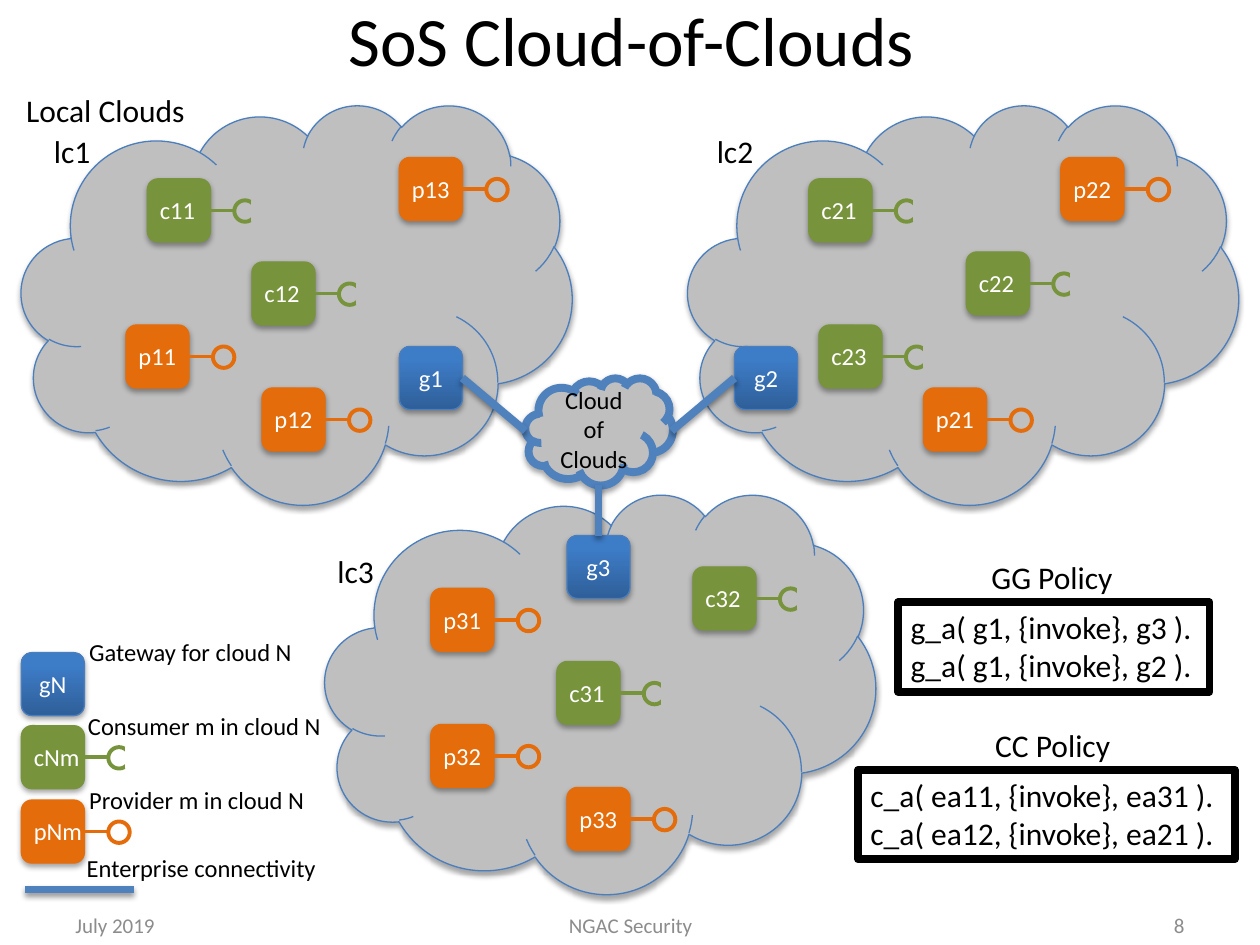
from lxml import etree
from pptx import Presentation
from pptx.dml.color import RGBColor
from pptx.enum.shapes import MSO_CONNECTOR, MSO_SHAPE
from pptx.enum.text import MSO_ANCHOR, PP_ALIGN
from pptx.oxml.ns import qn
from pptx.util import Inches, Pt

CLOUD = MSO_SHAPE.CLOUD
RECT = MSO_SHAPE.RECTANGLE
ROUND = MSO_SHAPE.ROUNDED_RECTANGLE
OVAL = MSO_SHAPE.OVAL
STRAIGHT = MSO_CONNECTOR.STRAIGHT
LEFT, CENTER, RIGHT = PP_ALIGN.LEFT, PP_ALIGN.CENTER, PP_ALIGN.RIGHT
TOP, MIDDLE = MSO_ANCHOR.TOP, MSO_ANCHOR.MIDDLE

COLORS = {
    "black": "000000", "white": "FFFFFF", "gray": "BFBFBF", "footer": "8C8C8C",
    "edge": "4B7EBC", "link": "4F81BD", "dark": "2F5F99", "blue": "3D7CC7",
    "consumer": "77933C", "provider": "E46C0A",
}


def write(sp, text, size=14, color="black", align=LEFT, anchor=TOP, wrap=False):
    tf = sp.text_frame
    tf.word_wrap = wrap
    tf.vertical_anchor = anchor
    for i, line in enumerate(text.split("\n")):
        p = tf.paragraphs[0] if i == 0 else tf.add_paragraph()
        p.alignment = align
        r = p.add_run()
        r.text = line
        r.font.size = Pt(size)
        r.font.name = "Calibri"
        r.font.color.rgb = RGBColor.from_string(COLORS[color])


def style(sp, line, width, fill=None, shadow=None):
    sp.line.color.rgb = RGBColor.from_string(COLORS[line])
    sp.line.width = Pt(width)
    if fill == "gradient":
        sp.fill.gradient()
        sp.fill.gradient_angle = 90
        for stop, color, pos in zip(sp.fill.gradient_stops, ("dark", "blue"), (0, 0.8)):
            stop.color.rgb = RGBColor.from_string(COLORS[color])
            stop.position = pos
    elif fill:
        sp.fill.solid()
        sp.fill.fore_color.rgb = RGBColor.from_string(COLORS[fill])
    elif hasattr(sp, "fill"):
        sp.fill.background()
    effects = etree.SubElement(sp._element.spPr, qn("a:effectLst"))
    if shadow:
        outer = etree.SubElement(effects, qn("a:outerShdw"), blurRad="40000",
                                 dist="23000", dir="5400000", rotWithShape="0")
        rgb = etree.SubElement(outer, qn("a:srgbClr"), val=COLORS["black"])
        etree.SubElement(rgb, qn("a:alpha"), val=str(shadow * 1000))


prs = Presentation()
prs.slide_width = Inches(10)
prs.slide_height = Inches(7.5)
s = prs.slides.add_slide(prs.slide_layouts[6])

sp = s.shapes.add_textbox(Inches(0.51), Inches(0), Inches(9), Inches(0.61))
write(sp, "SoS Cloud-of-Clouds", size=39.6, align=CENTER, anchor=MIDDLE, wrap=True)

for x, y in [(0.17, 0.83), (2.58, 3.92), (5.46, 0.83)]:
    sp = s.shapes.add_shape(CLOUD, Inches(x), Inches(y), Inches(4.37), Inches(3.17))
    style(sp, "edge", 0.75, fill="gray", shadow=35)

sp = s.shapes.add_shape(CLOUD, Inches(4.17), Inches(3), Inches(1.17), Inches(0.85))
style(sp, "link", 4.5, fill="gray", shadow=35)
write(sp, "Cloud of Clouds", align=CENTER, anchor=MIDDLE, wrap=True)

gateways = [("g1", 3.17, 2.75), ("g2", 5.83, 2.75), ("g3", 4.5, 4.25), ("gN", 0.17, 5.18)]
for name, x, y in gateways:
    sp = s.shapes.add_shape(ROUND, Inches(x), Inches(y), Inches(0.5), Inches(0.5))
    style(sp, "edge", 0.75, fill="gradient", shadow=35)
    write(sp, name, color="white", align=CENTER, anchor=MIDDLE, wrap=True)

links = [
    (3.67, 3, 4.17, 3.42), (5.33, 3.42, 5.83, 3),
    (4.75, 3.85, 4.75, 4.25), (0.2, 7.06, 1.06, 7.06),
]
for x1, y1, x2, y2 in links:
    sp = s.shapes.add_connector(STRAIGHT, Inches(x1), Inches(y1), Inches(x2), Inches(y2))
    style(sp, "link", 4.5, shadow=38)

services = [
    ("cNm", 0.17, 5.76), ("pNm", 0.17, 6.35),
    ("c11", 1.17, 1.42), ("p11", 1, 2.58), ("p12", 2.08, 3.08),
    ("p13", 3.17, 1.25), ("c12", 2, 2.08),
    ("c21", 6.42, 1.42), ("p21", 7.33, 3.08), ("p22", 8.42, 1.25),
    ("c22", 7.67, 2), ("c23", 6.5, 2.58),
    ("c32", 5.5, 4.5), ("p32", 3.42, 5.75), ("p33", 4.5, 6.25),
    ("p31", 3.42, 4.67), ("c31", 4.42, 5.25),
]
for name, x, y in services:
    is_consumer = name.startswith("c")
    color = "consumer" if is_consumer else "provider"
    back = "white" if name.endswith("Nm") else "gray"
    width = 0.6 if name.endswith("Nm") else 0.51
    shapes = s.shapes.add_group_shape().shapes
    sp = shapes.add_shape(ROUND, Inches(x), Inches(y), Inches(0.5), Inches(0.5))
    style(sp, color, 0.75, fill=color, shadow=35)
    sp = shapes.add_textbox(Inches(x), Inches(y + 0.08), Inches(width), Inches(0.34))
    write(sp, name, color="white")
    sp = shapes.add_connector(STRAIGHT, Inches(x + 0.5), Inches(y + 0.25),
                              Inches(x + 0.69), Inches(y + 0.25))
    style(sp, color, 2)
    sp = shapes.add_shape(OVAL, Inches(x + 0.69), Inches(y + 0.17), Inches(0.17), Inches(0.17))
    style(sp, color, 2.25, fill=back if is_consumer else None)
    if is_consumer:
        sp = shapes.add_shape(RECT, Inches(x + 0.83), Inches(y + 0.17), Inches(0.08), Inches(0.17))
        style(sp, back, 0.75, fill=back)

labels = [
    ("Local Clouds", 0.11, 0.67, 1.48, 18),
    ("lc1", 0.33, 1, 0.49, 18),
    ("lc2", 5.59, 1, 0.49, 18),
    ("lc3", 2.58, 4.33, 0.49, 18),
    ("GG Policy", 7.77, 4.38, 1.18, 18),
    ("CC Policy", 7.8, 5.71, 1.13, 18),
    ("Gateway for cloud N", 0.61, 5.01, 1.84, 14),
    ("Consumer m in cloud N", 0.6, 5.59, 2.06, 14),
    ("Provider m in cloud N", 0.61, 6.18, 1.93, 14),
    ("Enterprise connectivity", 0.59, 6.72, 2.04, 14),
]
for text, x, y, w, size in labels:
    sp = s.shapes.add_textbox(Inches(x), Inches(y), Inches(w), Inches(0.4 if size == 18 else 0.34))
    write(sp, text, size=size)

policies = [
    ("g_a( g1, {invoke}, g3 ).\ng_a( g1, {invoke}, g2 ).", 7.13, 4.78, 2.47, False),
    ("c_a( ea11, {invoke}, ea31 ).\nc_a( ea12, {invoke}, ea21 ).", 6.81, 6.11, 2.99, True),
]
for text, x, y, w, wrap in policies:
    sp = s.shapes.add_shape(RECT, Inches(x), Inches(y), Inches(w), Inches(0.71))
    style(sp, "black", 4.5)
    write(sp, text, size=18, wrap=wrap)

footers = [
    ("July 2019", 0.5, 2.33, LEFT),
    ("NGAC Security", 3.42, 3.17, CENTER),
    ("8", 7.17, 2.33, RIGHT),
]
for text, x, w, align in footers:
    sp = s.shapes.add_textbox(Inches(x), Inches(7.14), Inches(w), Inches(0.4))
    write(sp, text, size=12, color="footer", align=align, anchor=MIDDLE, wrap=True)

prs.save("out.pptx")
